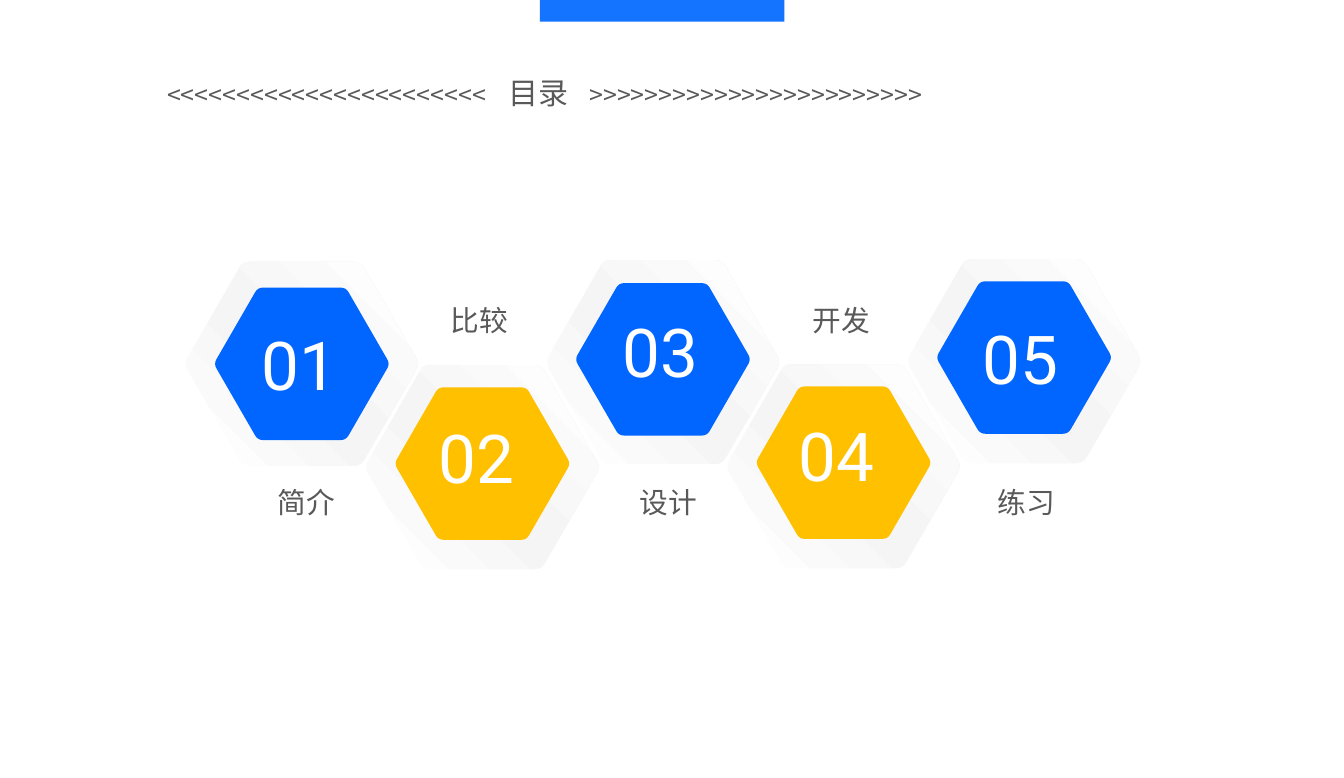
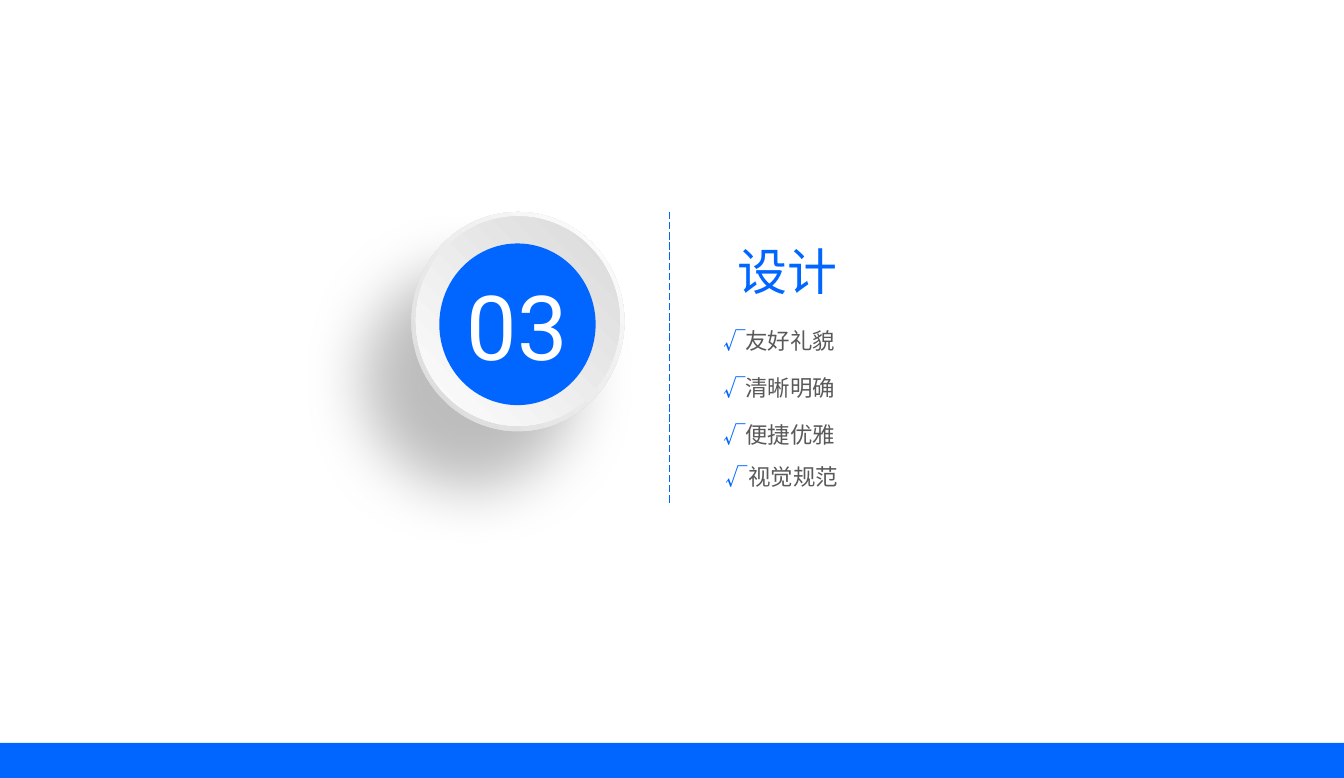
"""Build a contents slide with five hexagons and a chapter slide for part three."""
from math import cos, pi, sin

from pptx import Presentation
from pptx.dml.color import RGBColor
from pptx.enum import dml, shapes, text
from pptx.oxml import parse_xml
from pptx.oxml.ns import nsdecls, qn
from pptx.util import Inches, Pt

BLUE = RGBColor(0x00, 0x66, 0xFF)
TAB_BLUE = RGBColor(0x15, 0x74, 0xFF)
GOLD = RGBColor(0xFF, 0xC0, 0x00)
GREY = RGBColor(0x59, 0x59, 0x59)
WHITE = RGBColor(0xFF, 0xFF, 0xFF)
CJK = "Noto Sans CJK SC"
LATIN = "Roboto"
TITLE_ONLY = 5
LINEAR = '<a:lin ang="18900000" scaled="0"/>'
FROM_TOP_RIGHT = '<a:path path="circle"><a:fillToRect l="100000" b="100000"/></a:path>'
PALE = [(0, "FFFFFF"), (47, "F5F5F5"), (100, "FFFFFF")]


def write(tf, *parts, font=CJK):
    """Fill the first paragraph with (text, size, colour) runs."""
    tf.word_wrap = True
    p = tf.paragraphs[0]
    for words, size, colour in parts:
        r = p.add_run()
        r.text = words
        r.font.size = Pt(size)
        r.font.name = font
        r.font.color.rgb = colour
        ea = r._r.get_or_add_rPr().makeelement(qn("a:ea"), {"typeface": font})
        r._r.rPr.find(qn("a:latin")).addnext(ea)
    return p


def paint(sp, fill, direction=LINEAR):
    """Remove line and shadow, then fill with a colour or a list of gradient stops."""
    sp.shadow.inherit = False
    sp.line.fill.background()
    sp.fill.solid()
    if isinstance(fill, RGBColor):
        sp.fill.fore_color.rgb = fill
        return
    stops = "".join(f'<a:gs pos="{pos * 1000}"><a:srgbClr val="{colour}"/></a:gs>'
                    for pos, colour in fill)
    spPr = sp._element.spPr
    spPr.replace(spPr.find(qn("a:solidFill")), parse_xml(
        f'<a:gradFill {nsdecls("a")} rotWithShape="1"><a:gsLst>{stops}</a:gsLst>'
        f'{direction}</a:gradFill>'))


prs = Presentation()
prs.slide_width, prs.slide_height = Inches(14.96), Inches(8.66)
layout = prs.slide_layouts[TITLE_ONLY]
slides = []
for left, top, width, height in [(1.73, 0.76, 12.06, 0.54), (8.11, 2.63, 3.65, 0.77)]:
    s = prs.slides.add_slide(layout)
    title = s.shapes.title
    title.left, title.top = Inches(left), Inches(top)
    title.width, title.height = Inches(width), Inches(height)
    tf = title.text_frame
    tf.auto_size = text.MSO_AUTO_SIZE.NONE
    tf.vertical_anchor = text.MSO_ANCHOR.TOP
    tf.paragraphs[0].alignment = text.PP_ALIGN.LEFT
    slides.append(s)
contents, chapter = slides

tf = contents.shapes.title.text_frame
tf.margin_left = tf.margin_right = Inches(0.13)
tf.margin_top = tf.margin_bottom = Inches(0.07)
p = write(tf, ("<" * 23 + "\t", 20, GREY), ("目录\t", 24, GREY), (">" * 24, 20, GREY))
tabs = "".join(f'<a:tab pos="{Inches(stop)}" algn="l"/>' for stop in (3.8, 4.7))
p._p.get_or_add_pPr().append(parse_xml(f'<a:tabLst {nsdecls("a")}>{tabs}</a:tabLst>'))

hexagons = [
    (5, 4.02, 3.98, 10.84, 3.48),
    (3, 4.03, 4.0, 6.83, 3.4),
    (1, 4.05, 4.05, 2.81, 3.55),
    (2, 5.2, 5.16, 4.78, 4.58),
    (4, 5.19, 5.15, 8.79, 4.56),
]
for number, outer_y, inner_y, digit_x, digit_y in hexagons:
    cx = 3.36 + 2.01 * (number - 1)
    group = contents.shapes.add_group_shape()
    layers = [(1.32, outer_y, WHITE), (1.31, outer_y, PALE),
              (0.98, inner_y, BLUE if number % 2 else GOLD)]
    for radius, cy, fill in layers[number == 5:]:
        corners = [(cx + radius * cos(k * pi / 3), cy + radius * sin(k * pi / 3))
                   for k in range(6)]
        outline = []
        for k, corner in enumerate(corners):
            before, after = corners[k - 1], corners[(k + 1) % 6]
            for t in (0, 0.25, 0.5, 0.75, 1):
                outline.append([Inches(c + 0.06 * ((1 - t) ** 2 * (b - c) + t ** 2 * (a - c)))
                                for b, c, a in zip(before, corner, after)])
        builder = group.shapes.build_freeform(*outline[0])
        builder.add_line_segments(outline[1:])
        paint(builder.convert_to_shape(), fill)
    box = group.shapes.add_textbox(Inches(digit_x), Inches(digit_y), Inches(1.1), Inches(1.01))
    write(box.text_frame, (f"{number:02}", 54, WHITE), font=LATIN)

labels = [("简介", 2.99), ("比较", 4.92), ("设计", 7.02), ("开发", 8.95), ("练习", 11.01)]
for i, (label, left) in enumerate(labels):
    top = 3.32 if i % 2 else 5.35
    box = contents.shapes.add_textbox(Inches(left), Inches(top), Inches(1.68), Inches(0.49))
    write(box.text_frame, (label, 23, GREY))

bands = [(contents, 6.01, 0, 2.72, 0.24, TAB_BLUE), (chapter, 0, 8.27, 14.96, 0.39, BLUE)]
for s, left, top, width, height, colour in bands:
    band = s.shapes.add_shape(shapes.MSO_SHAPE.RECTANGLE, Inches(left), Inches(top),
                              Inches(width), Inches(height))
    paint(band, colour)

write(chapter.shapes.title.text_frame, ("设计", 40, BLUE))

group = chapter.shapes.add_group_shape()
discs = []
for left, top, width, height, fill in [
    (4.58, 2.36, 2.37, 2.44, [(0, "FFFFFF"), (100, "D9D9D9")]),
    (4.63, 2.41, 2.27, 2.33, [(0, "D9D9D9"), (100, "FEFEFE")]),
    (4.89, 2.71, 1.74, 1.8, BLUE),
]:
    disc = group.shapes.add_shape(shapes.MSO_SHAPE.OVAL, Inches(left), Inches(top),
                                  Inches(width), Inches(height))
    paint(disc, fill, FROM_TOP_RIGHT)
    discs.append(disc)
discs[0]._element.spPr.find(qn("a:effectLst")).append(parse_xml(
    f'<a:outerShdw {nsdecls("a")} blurRad="{Pt(50)}" dist="{Pt(60)}" dir="{130 * 60000}" '
    'algn="ctr" rotWithShape="0"><a:srgbClr val="000000"><a:alpha val="25000"/></a:srgbClr>'
    '</a:outerShdw>'))
tf = discs[-1].text_frame
tf.margin_left = tf.margin_right = 0
tf.margin_top = tf.margin_bottom = Inches(0.06)
tf.vertical_anchor = text.MSO_ANCHOR.MIDDLE
write(tf, ("03", 72, WHITE), font=LATIN).alignment = text.PP_ALIGN.CENTER

divider = chapter.shapes.add_connector(shapes.MSO_CONNECTOR.STRAIGHT, Inches(7.45),
                                       Inches(2.36), Inches(7.45), Inches(5.61))
divider.line.color.rgb = BLUE
divider.line.width = Pt(0.75)
divider.line.dash_style = dml.MSO_LINE.LONG_DASH
divider._element.spPr.append(parse_xml(f'<a:effectLst {nsdecls("a")}/>'))

goals = [("友好礼貌", 7.95, 3.59), ("清晰明确", 7.95, 4.12),
         ("便捷优雅", 7.95, 4.64), ("视觉规范", 7.98, 5.11)]
for goal, left, top in goals:
    box = chapter.shapes.add_textbox(Inches(left), Inches(top), Inches(1.68), Inches(0.4))
    write(box.text_frame, ("√", 18, BLUE), (goal, 18, GREY))

prs.save("out.pptx")
